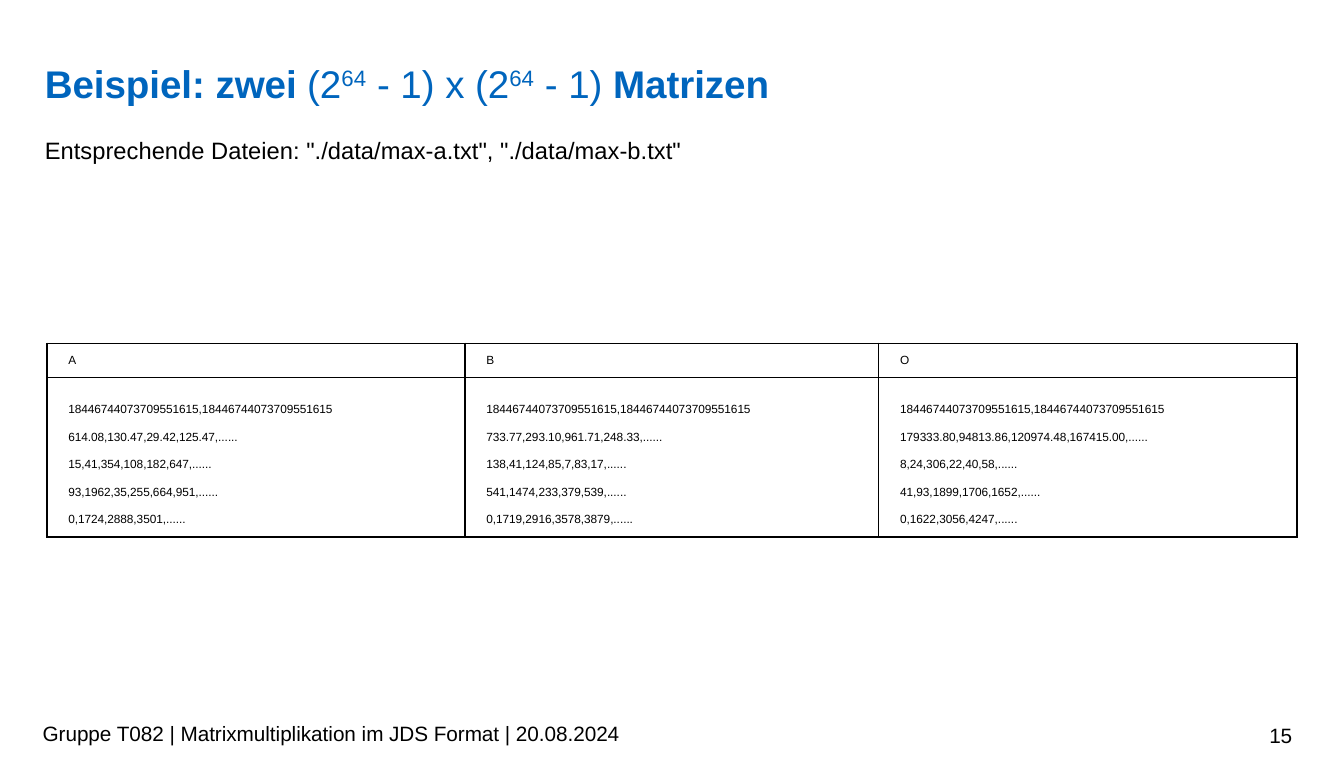
from pptx import Presentation
from pptx.dml.color import RGBColor
from pptx.enum.text import MSO_ANCHOR, MSO_AUTO_SIZE, PP_ALIGN
from pptx.oxml import parse_xml
from pptx.oxml.ns import nsdecls
from pptx.util import Inches, Pt

BLUE = RGBColor(0x00, 0x65, 0xBD)
BLACK = RGBColor(0x00, 0x00, 0x00)

TITLE = [
    ("Beispiel: zwei ", {"bold": True}),
    ("(2", {}),
    ("64", {"raised": True}),
    (" - 1) x (2", {}),
    ("64", {"raised": True}),
    (" - 1) ", {}),
    ("Matrizen", {"bold": True}),
]
DIMENSIONS = "18446744073709551615,18446744073709551615"
MATRICES = {
    "A": [
        DIMENSIONS,
        "614.08,130.47,29.42,125.47,......",
        "15,41,354,108,182,647,......",
        "93,1962,35,255,664,951,......",
        "0,1724,2888,3501,......",
    ],
    "B": [
        DIMENSIONS,
        "733.77,293.10,961.71,248.33,......",
        "138,41,124,85,7,83,17,......",
        "541,1474,233,379,539,......",
        "0,1719,2916,3578,3879,......",
    ],
    "O": [
        DIMENSIONS,
        "179333.80,94813.86,120974.48,167415.00,......",
        "8,24,306,22,40,58,......",
        "41,93,1899,1706,1652,......",
        "0,1622,3056,4247,......",
    ],
}


def write(para, text, size=8, font="Arial", color=BLACK, bold=False, raised=False):
    """Add a formatted span of text to a paragraph."""
    span = para.add_run()
    span.text = text
    span.font.size = Pt(size)
    span.font.name = font
    span.font.color.rgb = color
    span.font.bold = bold
    if raised:
        span.font._element.set("baseline", "30000")


class MatrixSlide:
    """Hold the slide style and build its elements."""

    def __init__(self, deck):
        """Add a title-only page to the deck."""
        self.page = deck.slides.add_slide(deck.slide_layouts[5])
        self.border_width = Pt(0.45)
        self.title_size = 13
        self.cell_size = 4
        self.footer_size = 7

    def clear_frame(self, frame, wrap):
        """Remove margins and automatic sizing from a text frame."""
        frame.margin_left = frame.margin_right = 0
        frame.margin_top = frame.margin_bottom = 0
        frame.vertical_anchor = MSO_ANCHOR.TOP
        frame.auto_size = MSO_AUTO_SIZE.NONE
        frame.word_wrap = wrap

    def title(self, spans, subtitle, left, top, width, height):
        """Fill the title placeholder with a heading and a subtitle."""
        box = self.page.shapes.title
        box.left, box.top = Inches(left), Inches(top)
        box.width, box.height = Inches(width), Inches(height)
        frame = box.text_frame
        self.clear_frame(frame, True)
        heading, line = frame.paragraphs[0], frame.add_paragraph()
        for para in (heading, line):
            para.alignment = PP_ALIGN.JUSTIFY
            para.line_spacing = 1.0
            para.space_before = Pt(0)
        heading.space_after = Pt(10.2)
        for text, style in spans:
            write(heading, text, size=self.title_size, color=BLUE, **style)
        write(line, subtitle)

    def footer(self, text, left, top, width, height):
        """Add a line of footer text."""
        box = self.page.shapes.add_textbox(
            Inches(left), Inches(top), Inches(width), Inches(height))
        self.clear_frame(box.text_frame, False)
        write(box.text_frame.paragraphs[0], text, size=self.footer_size)

    def cell(self, cell, lines, anchor, spacing=None):
        """Fill and outline one table cell."""
        properties = cell._tc.get_or_add_tcPr()
        for side in ("lnL", "lnR", "lnT", "lnB"):
            properties.append(parse_xml(
                f'<a:{side} {nsdecls("a")} w="{self.border_width}"><a:solidFill>'
                f'<a:srgbClr val="{BLACK}"/></a:solidFill></a:{side}>'))
        cell.fill.background()
        cell.vertical_anchor = anchor
        frame = cell.text_frame
        for index, text in enumerate(lines):
            para = frame.add_paragraph() if index else frame.paragraphs[0]
            para.alignment = PP_ALIGN.JUSTIFY
            para.line_spacing = spacing
            write(para, text, size=self.cell_size)

    def table(self, matrices, left, top, widths, heights):
        """Add a table with one column per matrix."""
        table = self.page.shapes.add_table(
            len(heights), len(widths), Inches(left), Inches(top),
            Inches(sum(widths)), Inches(sum(heights))).table
        table.first_row = table.horz_banding = False
        for row, height in zip(table.rows, heights):
            row.height = Inches(height)
        for index, (name, lines) in enumerate(matrices.items()):
            table.columns[index].width = Inches(widths[index])
            self.cell(table.cell(0, index), [name], MSO_ANCHOR.BOTTOM)
            self.cell(table.cell(1, index), lines, MSO_ANCHOR.TOP, Pt(9.3))


def main():
    """Build and save the deck."""
    deck = Presentation()
    deck.slide_width, deck.slide_height = Inches(6.3), Inches(3.55)
    slide = MatrixSlide(deck)
    slide.title(TITLE, 'Entsprechende Dateien: "./data/max-a.txt", "./data/max-b.txt"',
                0.21, 0.28, 5.89, 0.51)
    slide.table(MATRICES, 0.22, 1.61, [1.96, 1.94, 1.96], [0.15, 0.68])
    slide.footer("Gruppe T082 | Matrixmultiplikation im JDS Format | 20.08.2024",
                 0.2, 3.38, 2.98, 0.14)
    slide.footer("15", 5.95, 3.39, 0.14, 0.12)
    deck.save("out.pptx")


if __name__ == "__main__":
    main()
